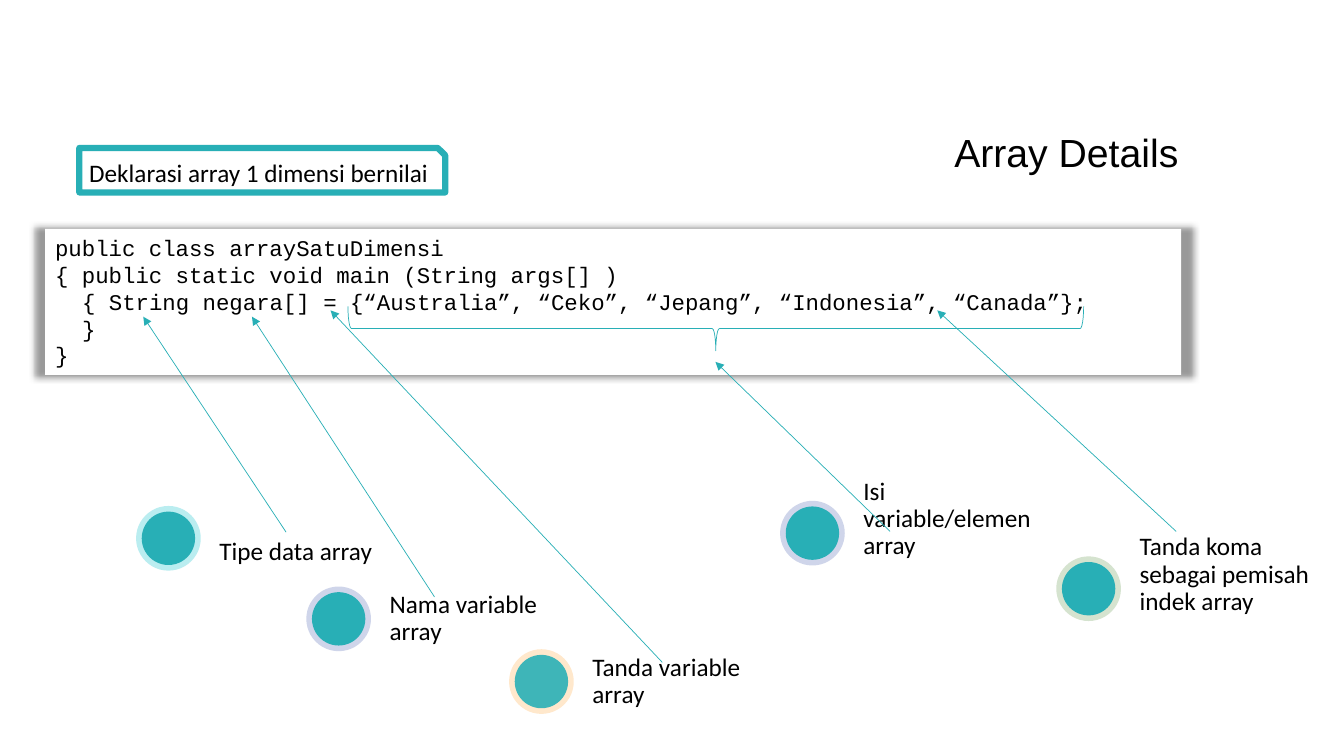
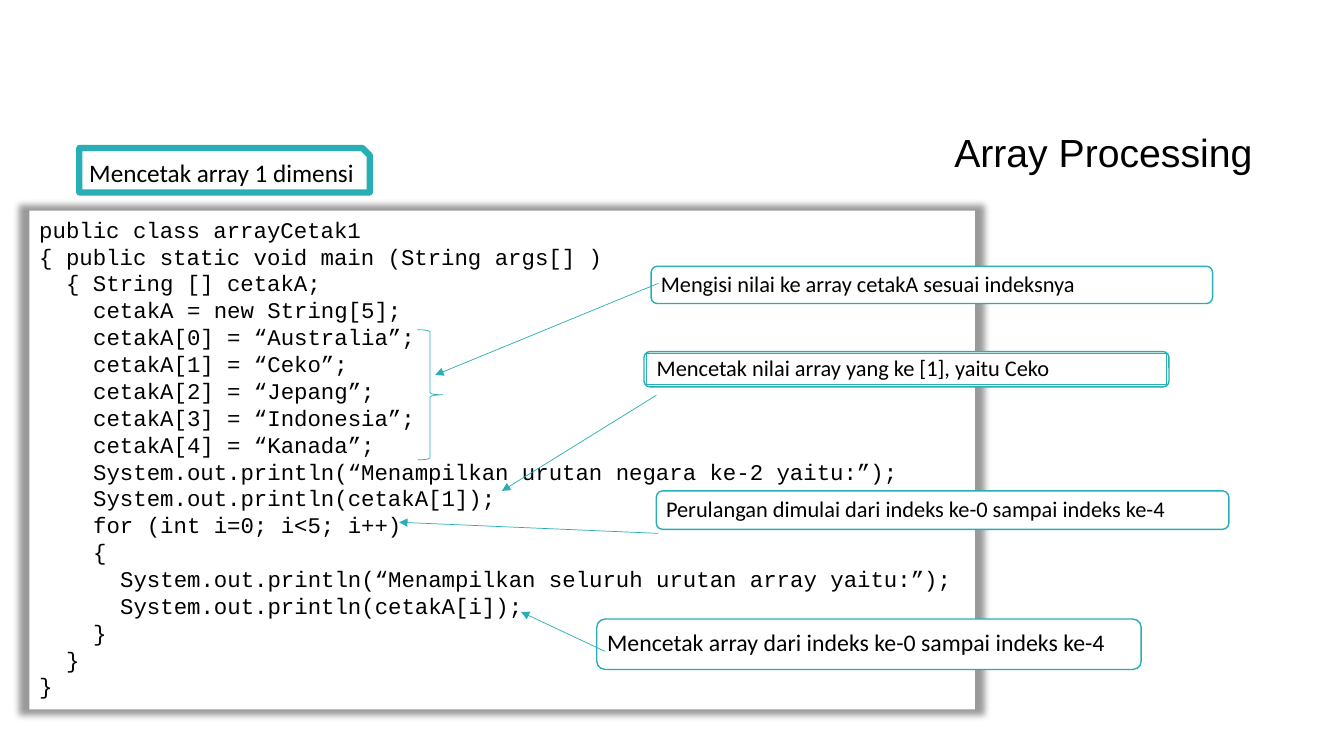
from lxml import etree
from pptx import Presentation
from pptx.dml.color import RGBColor
from pptx.enum import shapes, text
from pptx.oxml import ns
from pptx.util import Cm, Pt

TEAL = RGBColor(0x28, 0xAF, 0xB6)
SOFT_TEAL = RGBColor(0x3E, 0xB5, 0xB8)
AQUA = RGBColor(0xBA, 0xED, 0xF0)
LAVENDER = RGBColor(0xCF, 0xD5, 0xEA)
PEACH = RGBColor(0xFF, 0xE8, 0xCC)
SAGE = RGBColor(0xD5, 0xE3, 0xCF)
WHITE = RGBColor(0xFF, 0xFF, 0xFF)
BLACK = RGBColor(0, 0, 0)

SHAPE = shapes.MSO_SHAPE
ANCHOR = text.MSO_ANCHOR

TITLE_STYLE = {"name": "Arial", "size": Pt(28)}
CODE_STYLE = {"name": "Courier New", "size": Pt(16)}
LABEL_STYLE = {"name": "Calibri", "size": Pt(18)}

RING, DOT = 1.63, 1.31
CAPTION_OFFSET, CAPTION_WIDTH = 1.97, 4.85
CODE_INDENT, CODE_PITCH = 0.68, 19.2

SLIDES = [
    {
        "title": "Array Details",
        "label": ("Deklarasi array 1 dimensi bernilai", 9.22),
        "code_box": (1.14, 5.77, 28.63, 3.68),
        "code": [
            (0, "public class arraySatuDimensi"),
            (0, "{ public static void main (String args[] )"),
            (1, "{ String negara[] = {“Australia”, “Ceko”, “Jepang”, “Indonesia”, “Canada”};"),
            (1, "}"),
            (0, "}"),
        ],
        "brace": (SHAPE.LEFT_BRACE, (17.48, -0.99, 1.12, 18.54), 270, (0.08, 0.5)),
        "markers": [
            (3.43, 12.75, AQUA, TEAL, "Tipe data array"),
            (7.72, 14.78, LAVENDER, TEAL, "Nama variable array"),
            (19.66, 12.62, LAVENDER, TEAL, "Isi variable/elemen array"),
            (12.83, 16.36, PEACH, SOFT_TEAL, "Tanda variable array"),
            (26.62, 14.02, SAGE, TEAL, "Tanda koma sebagai pemisah indek array"),
        ],
        "callouts": [],
        "arrows": [
            (7.21, 13.41, 3.61, 7.98),
            (10.95, 15.04, 6.35, 7.98),
            (16.69, 16.69, 8.33, 7.82),
            (22.43, 13.39, 18.03, 9.12),
            (29.64, 13.39, 23.62, 7.82),
        ],
    },
    {
        "title": "Array Processing",
        "label": ("Mencetak array 1 dimensi", 7.32),
        "code_box": (0.74, 5.31, 23.83, 12.57),
        "code": [
            (0, "public class arrayCetak1"),
            (0, "{ public static void main (String args[] )"),
            (1, "{ String [] cetakA;"),
            (2, "cetakA = new String[5];"),
            (2, "cetakA[0] = “Australia”;"),
            (2, "cetakA[1] = “Ceko”;"),
            (2, "cetakA[2] = “Jepang”;"),
            (2, "cetakA[3] = “Indonesia”;"),
            (2, "cetakA[4] = “Kanada”;"),
            (2, "System.out.println(“Menampilkan urutan negara ke-2 yaitu:”);"),
            (2, "System.out.println(cetakA[1]);"),
            (2, "for (int i=0; i<5; i++)"),
            (2, "{"),
            (3, "System.out.println(“Menampilkan seluruh urutan array yaitu:”);"),
            (3, "System.out.println(cetakA[i]);"),
            (2, "}"),
            (1, "}"),
            (0, "}"),
        ],
        "brace": (SHAPE.RIGHT_BRACE, (10.52, 8.31, 0.64, 3.28), 0, (0.08, 0.5)),
        "markers": [],
        "callouts": [
            ((16.41, 6.71, 14.15, 0.94), 16, False, "Mengisi nilai ke array cetakA sesuai indeksnya"),
            ((16.23, 8.86, 13.23, 0.89), 16, True, "Mencetak nilai array yang ke [1], yaitu Ceko"),
            ((16.54, 12.37, 14.43, 0.97), 16, False, "Perulangan dimulai dari indeks ke-0 sampai indeks ke-4"),
            ((15.04, 15.6, 13.72, 1.27), 17, False, "Mencetak array dari indeks ke-0 sampai indeks ke-4"),
        ],
        "arrows": [
            (16.59, 7.14, 10.97, 9.45),
            (16.54, 9.96, 12.65, 12.37),
            (16.59, 13.44, 10.06, 13.16),
            (15.24, 16.41, 13.13, 15.42),
        ],
    },
]


def add_box(slide, kind, box, fill=None, line=None, width=1.0):
    shape = slide.shapes.add_shape(kind, *map(Cm, box))
    shape.shadow.inherit = False
    if fill is None:
        shape.fill.background()
    else:
        shape.fill.solid()
        shape.fill.fore_color.rgb = fill
    if line is None:
        shape.line.fill.background()
    else:
        shape.line.color.rgb = line
        shape.line.width = Pt(width)
    return shape


def write(shape, lines, style, anchor=ANCHOR.TOP, spacing=1.0, insets=(0.25, 0.13, 0.25, 0.13)):
    frame = shape.text_frame
    frame.word_wrap = True
    frame.vertical_anchor = anchor
    for side, inset in zip(("left", "top", "right", "bottom"), insets):
        setattr(frame, f"margin_{side}", Cm(inset))
    for index, (level, line) in enumerate(lines):
        paragraph = frame.paragraphs[0] if index == 0 else frame.add_paragraph()
        paragraph.alignment = text.PP_ALIGN.LEFT
        paragraph.line_spacing = spacing
        if level:
            paragraph._p.get_or_add_pPr().set("marL", str(Cm(level * CODE_INDENT)))
        run = paragraph.add_run()
        run.text = line
        run.font.color.rgb = BLACK
        for name, value in style.items():
            setattr(run.font, name, value)


def add_glow(shape):
    effects = shape._element.spPr.find(ns.qn("a:effectLst"))
    shadow = etree.SubElement(effects, ns.qn("a:outerShdw"), blurRad=str(Pt(5)),
                              sx="102000", sy="102000", algn="ctr", rotWithShape="0")
    color = etree.SubElement(shadow, ns.qn("a:srgbClr"), val=str(BLACK))
    etree.SubElement(color, ns.qn("a:alpha"), val="40000")


def add_header(slide, title, label):
    title_box = slide.shapes.add_textbox(Cm(23.8), Cm(3.1), Cm(9), Cm(1.42))
    write(title_box, [(0, title)], TITLE_STYLE)
    label_text, width = label
    label_box = add_box(slide, SHAPE.SNIP_1_RECTANGLE, (2, 3.73, width, 1.12), line=TEAL, width=4.5)
    write(label_box, [(0, label_text)], LABEL_STYLE, insets=(0.25, 0.13, 0, 0.13))


def add_code(slide, box, lines):
    panel = add_box(slide, SHAPE.RECTANGLE, box, WHITE)
    add_glow(panel)
    write(panel, lines, CODE_STYLE, spacing=Pt(CODE_PITCH))


def add_brace(slide, kind, box, rotation, adjustments):
    brace = add_box(slide, kind, box, line=TEAL, width=0.5)
    brace.rotation = rotation
    for index, value in enumerate(adjustments):
        brace.adjustments[index] = value


def add_marker(slide, left, top, ring_color, dot_color, caption):
    add_box(slide, SHAPE.OVAL, (left, top, RING, RING), ring_color)
    inset = (RING - DOT) / 2
    add_box(slide, SHAPE.OVAL, (left + inset, top + inset, DOT, DOT), dot_color, dot_color)
    box = slide.shapes.add_textbox(Cm(left + CAPTION_OFFSET), Cm(top), Cm(CAPTION_WIDTH), Cm(RING))
    write(box, [(0, caption)], LABEL_STYLE, ANCHOR.BOTTOM, 0.9, (0.13,) * 4)


def add_callout(slide, box, size, framed, caption):
    shape = add_box(slide, SHAPE.ROUNDED_RECTANGLE, box, WHITE, TEAL)
    if framed:
        left, top, width, height = box
        inner = (left + 0.07, top + 0.05, width - 0.14, height - 0.1)
        shape = add_box(slide, SHAPE.RECTANGLE, inner, line=TEAL, width=0.75)
    style = {"name": "Calibri", "size": Pt(size)}
    write(shape, [(0, caption)], style, ANCHOR.MIDDLE, 0.9, (0.25 if framed else 0.2, 0, 0, 0))


def add_arrow(slide, points):
    arrow = slide.shapes.add_connector(shapes.MSO_CONNECTOR.STRAIGHT, *map(Cm, points))
    arrow.line.color.rgb = TEAL
    arrow.line.width = Pt(0.5)
    etree.SubElement(arrow.line._get_or_add_ln(), ns.qn("a:tailEnd"), type="triangle")
    etree.SubElement(arrow._element.spPr, ns.qn("a:effectLst"))


def main():
    presentation = Presentation()
    presentation.slide_width = Cm(33.87)
    presentation.slide_height = Cm(19.05)
    for content in SLIDES:
        slide = presentation.slides.add_slide(presentation.slide_layouts[6])
        add_header(slide, content["title"], content["label"])
        add_code(slide, content["code_box"], content["code"])
        add_brace(slide, *content["brace"])
        for marker in content["markers"]:
            add_marker(slide, *marker)
        for callout in content["callouts"]:
            add_callout(slide, *callout)
        for points in content["arrows"]:
            add_arrow(slide, points)
    presentation.save("out.pptx")


if __name__ == "__main__":
    main()
